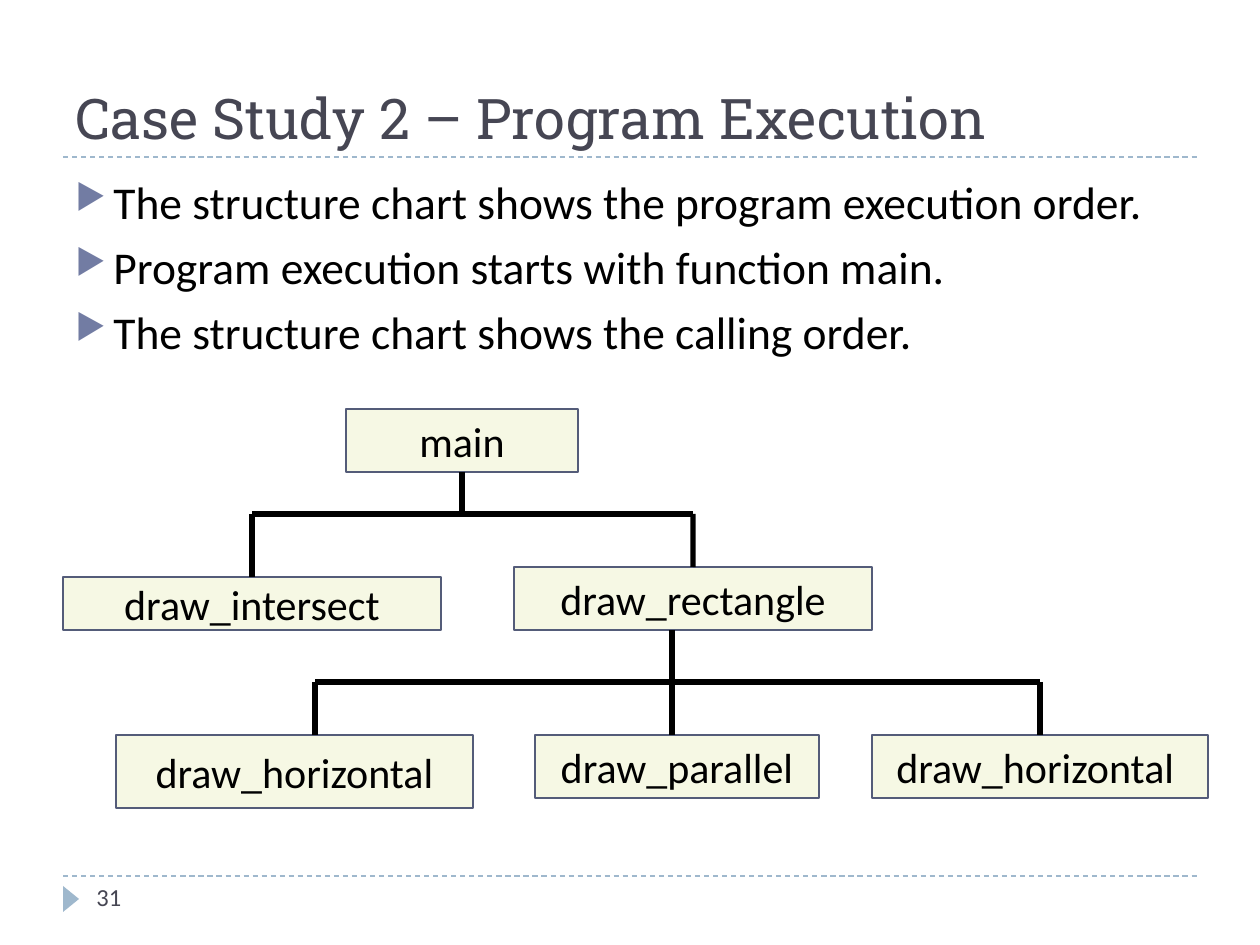
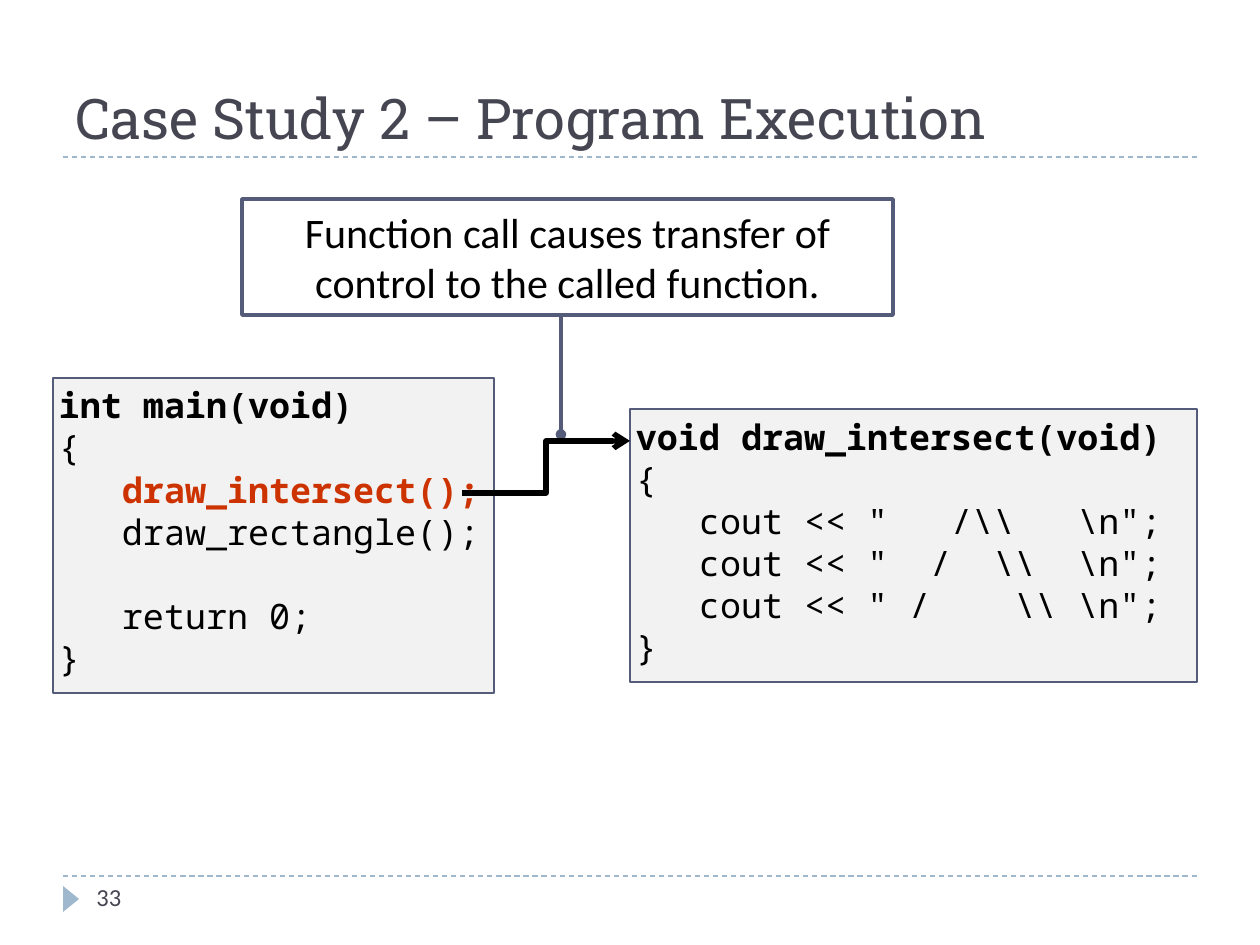
from lxml import etree
from pptx import Presentation
from pptx.dml.color import RGBColor
from pptx.enum.dml import MSO_LINE
from pptx.enum.shapes import MSO_CONNECTOR, MSO_SHAPE
from pptx.enum.text import MSO_ANCHOR, MSO_AUTO_SIZE, PP_ALIGN
from pptx.oxml.ns import qn
from pptx.util import Pt

# Content
TITLE = "Case Study 2 – Program Execution"
PAGE_NUMBERS = ("31", "33")
BULLETS = [
    "The structure chart shows the program execution order.",
    "Program execution starts with function main.",
    "The structure chart shows the calling order.",
]
# key: (label, (left, top, width, height))
FUNCTION_BOXES = {
    "main": ("main", (346, 409, 232, 63)),
    "intersect": ("draw_intersect", (63, 577, 378, 53)),
    "rectangle": ("draw_rectangle", (514, 567, 358, 63)),
    "left horizontal": ("draw_horizontal", (116, 735, 357, 73)),
    "right horizontal": ("draw_horizontal ", (872, 735, 336, 63)),
    "parallel": ("draw_parallel", (535, 735, 284, 63)),
}
UPPER_BAR, LOWER_BAR = 514, 682
# (from, to, box whose bottom starts the line, box whose top ends it)
CHART_LINES = [
    ((462, 472), (462, UPPER_BAR), "main", None),
    ((693, UPPER_BAR), (693, 567), None, "rectangle"),
    ((252, UPPER_BAR), (252, 577), None, "intersect"),
    ((252, UPPER_BAR), (693, UPPER_BAR), None, None),
    ((672, 630), (672, 735), None, None),
    ((1040, LOWER_BAR), (1040, 735), None, "right horizontal"),
    ((315, LOWER_BAR), (315, 735), None, None),
    ((315, LOWER_BAR), (1040, LOWER_BAR), None, None),
]
CALLOUT = "Function call causes transfer of control to the called function."
BLACK, CALL_RED = "000000", "CC3300"
# (code, colour, bold)
MAIN_CODE = [
    ("int main(void)", BLACK, True),
    ("{", BLACK, False),
    ("   draw_intersect();", CALL_RED, True),
    ("   draw_rectangle();", BLACK, False),
    ("", BLACK, False),
    ("   return 0;", BLACK, False),
    ("}", BLACK, False),
]
INTERSECT_CODE = [
    ("void draw_intersect(void)", BLACK, True),
    ("{", BLACK, False),
    (r'   cout << "   /\\   \n";', BLACK, False),
    (r'   cout << "  /  \\  \n";', BLACK, False),
    (r'   cout << " /    \\ \n";', BLACK, False),
    ("}", BLACK, False),
]

# Shared style
BODY_FONT, TITLE_FONT, CODE_FONT = "Calibri", "Roboto Slab", "Noto Sans Mono"
HEADING, ACCENT, BORDER, BULLET = "464653", "9FB8CD", "545C79", "727CA3"
BOX_FILL, CODE_FILL, WHITE = "F6F8E4", "F2F2F2", "FFFFFF"
RULE_LEFT, RULE_RIGHT, RULE_TOPS = 63, 1197, (876, 157)
TOP_SIDE, BOTTOM_SIDE = 0, 2


def px(value):
    return round(value * 914400 / 126)


def color(hex_string):
    return RGBColor.from_string(hex_string)


def style_text(paragraph, size, hex_string=BLACK, name=BODY_FONT, bold=False):
    font = paragraph.font
    font.size, font.name, font.bold = Pt(size), name, bold
    font.color.rgb = color(hex_string)


def add_element(parent, tag, **attributes):
    return etree.SubElement(parent, qn(tag), attributes)


def add_box(slide, kind, frame, fill, border=None, width=1.5):
    shape = slide.shapes.add_shape(kind, *map(px, frame))
    shape.shadow.inherit = False
    shape.fill.solid()
    shape.fill.fore_color.rgb = color(fill)
    if border:
        shape.line.color.rgb = color(border)
        shape.line.width = Pt(width)
    else:
        shape.line.fill.background()
    shape.text_frame.word_wrap = True
    return shape


def add_label(shape, text):
    shape.text_frame.vertical_anchor = MSO_ANCHOR.MIDDLE
    paragraph = shape.text_frame.paragraphs[0]
    paragraph.text = text
    paragraph.alignment = PP_ALIGN.CENTER
    style_text(paragraph, 24)


def add_line(slide, begin, end, hex_string=BLACK, width=3, kind=MSO_CONNECTOR.STRAIGHT):
    line = slide.shapes.add_connector(kind, *map(px, begin + end))
    line.line.color.rgb = color(hex_string)
    line.line.width = Pt(width)
    add_element(line._element.spPr, "a:effectLst")
    return line


def add_tail(shape, kind):
    """Put an end mark on the last point of a line or callout."""
    add_element(shape.line._get_or_add_ln(), "a:tailEnd", type=kind)


def add_text_box(slide, frame):
    text_frame = slide.shapes.add_textbox(*map(px, frame)).text_frame
    text_frame.word_wrap = True
    return text_frame


def add_base_slide(presentation, page_number):
    """Add a slide with the common title, rules and page number."""
    slide = presentation.slides.add_slide(presentation.slide_layouts[5])
    for top in RULE_TOPS:
        rule = add_line(slide, (RULE_LEFT, top), (RULE_RIGHT, top), ACCENT, 0.75)
        rule.line.dash_style = MSO_LINE.DASH
    marker = add_box(slide, MSO_SHAPE.ISOSCELES_TRIANGLE, (58, 891, 26, 16), ACCENT)
    marker.rotation = 90

    title = slide.shapes.title
    title.left, title.top, title.width, title.height = map(px, (63, 21, 1134, 136))
    title.text_frame.text = TITLE
    title.text_frame.auto_size = MSO_AUTO_SIZE.NONE
    title.text_frame.vertical_anchor = MSO_ANCHOR.BOTTOM
    paragraph = title.text_frame.paragraphs[0]
    paragraph.alignment = PP_ALIGN.LEFT
    style_text(paragraph, 32, HEADING, TITLE_FONT)

    paragraph = add_text_box(slide, (84, 876, 273, 50)).paragraphs[0]
    paragraph.text = page_number
    style_text(paragraph, 14, HEADING)
    return slide


def add_bullets(slide, frame, lines):
    text_frame = add_text_box(slide, frame)
    for index, text in enumerate(lines):
        paragraph = text_frame.paragraphs[0] if index == 0 else text_frame.add_paragraph()
        paragraph.text = text
        properties = paragraph._p.get_or_add_pPr()
        properties.set("marL", str(px(38)))
        properties.set("indent", str(-px(38)))
        bullet_color = add_element(properties, "a:buClr")
        add_element(bullet_color, "a:srgbClr", val=BULLET)
        add_element(properties, "a:buSzPct", val="76000")
        add_element(properties, "a:buChar", char="▶")
        paragraph.space_before = Pt(6 if index else 0)
        style_text(paragraph, 26)


def add_code(slide, frame, lines):
    text_frame = add_box(slide, MSO_SHAPE.RECTANGLE, frame, CODE_FILL, BORDER).text_frame
    text_frame.vertical_anchor = MSO_ANCHOR.TOP
    text_frame.margin_left = text_frame.margin_right = px(6)
    text_frame.margin_top = text_frame.margin_bottom = px(6)
    for index, (text, hex_string, bold) in enumerate(lines):
        paragraph = text_frame.paragraphs[0] if index == 0 else text_frame.add_paragraph()
        paragraph.text = text
        paragraph.alignment = PP_ALIGN.LEFT
        paragraph.line_spacing = Pt(24)
        style_text(paragraph, 20, hex_string, CODE_FONT, bold)


def build_structure_chart(slide):
    add_bullets(slide, (63, 168, 1144, 680), BULLETS)
    boxes = {}
    for key, (label, frame) in FUNCTION_BOXES.items():
        boxes[key] = add_box(slide, MSO_SHAPE.RECTANGLE, frame, BOX_FILL, BORDER)
        add_label(boxes[key], label)
    for begin, end, caller, called in CHART_LINES:
        line = add_line(slide, begin, end)
        if caller:
            line.begin_connect(boxes[caller], BOTTOM_SIDE)
        if called:
            line.end_connect(boxes[called], TOP_SIDE)


def build_function_call(slide):
    add_code(slide, (53, 378, 441, 315), MAIN_CODE)
    add_code(slide, (630, 409, 567, 273), INTERSECT_CODE)
    callout = add_box(slide, MSO_SHAPE.LINE_CALLOUT_1, (242, 199, 651, 116), WHITE, BORDER, 2)
    for index, value in enumerate((1.02, 0.49, 2.03, 0.49)):
        callout.adjustments[index] = value
    add_tail(callout, "oval")
    add_label(callout, CALLOUT)
    call_arrow = add_line(slide, (462, 493), (630, 441), kind=MSO_CONNECTOR.ELBOW)
    add_tail(call_arrow, "arrow")


def main():
    presentation = Presentation()
    presentation.slide_width, presentation.slide_height = px(1260), px(945)
    builders = (build_structure_chart, build_function_call)
    for page_number, build in zip(PAGE_NUMBERS, builders):
        build(add_base_slide(presentation, page_number))
    presentation.save("out.pptx")


if __name__ == "__main__":
    main()
